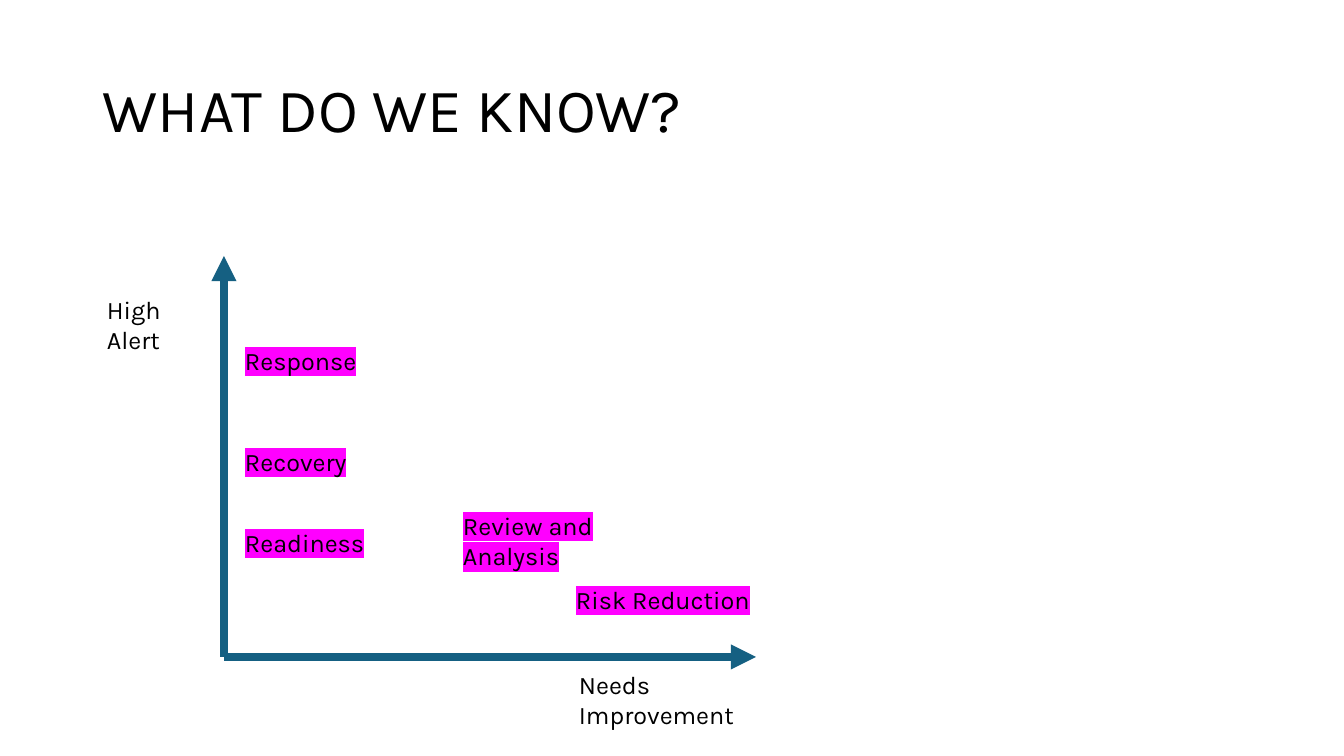
from lxml.etree import SubElement
from pptx import Presentation
from pptx.dml.color import RGBColor
from pptx.enum.shapes import MSO_CONNECTOR
from pptx.enum.text import MSO_ANCHOR
from pptx.oxml import parse_xml
from pptx.oxml.ns import nsdecls, qn
from pptx.util import Emu, Pt

EMU_PER_PIXEL = 914400 / 100.8
FONT = "Karla"
BLACK = "000000"
AXIS_BLUE = "156082"
MAGENTA = "FF00FF"
ORIGIN = (224, 657)
LINE_HEIGHT = 40
TWO_LINE_HEIGHT = 72

PHASES = [
    ("Readiness", 235, 522, 168, LINE_HEIGHT),
    ("Recovery", 235, 441, 168, LINE_HEIGHT),
    ("Review and Analysis", 453, 505, 168, TWO_LINE_HEIGHT),
    ("Response", 235, 340, 168, LINE_HEIGHT),
    ("Risk Reduction", 566, 579, 228, LINE_HEIGHT),
]
AXIS_LABELS = [
    ("High Alert", 97, 289, 125, TWO_LINE_HEIGHT),
    ("Needs Improvement", 569, 664, 228, TWO_LINE_HEIGHT),
]


def px(length):
    return Emu(round(length * EMU_PER_PIXEL))


def color(hex_value):
    return RGBColor.from_string(hex_value)


def add_text(slide, text, left, top, width, height, size=18):
    """Add a wrapping text box and return its only run."""
    shape = slide.shapes.add_textbox(px(left), px(top), px(width), px(height))
    text_frame = shape.text_frame
    text_frame.word_wrap = True
    text_frame.text = text
    run = text_frame.paragraphs[0].runs[0]
    run.font.name = FONT
    run.font.size = Pt(size)
    run.font.color.rgb = color(BLACK)
    return run


def add_title(slide, text):
    add_text(slide, text, 93, 40, 1159, 146, size=44)
    text_frame = slide.shapes[-1].text_frame
    text_frame.vertical_anchor = MSO_ANCHOR.MIDDLE
    text_frame.paragraphs[0].line_spacing = 0.9


def highlight(run, hex_value):
    marker = parse_xml(
        f'<a:highlight {nsdecls("a")}><a:srgbClr val="{hex_value}"/></a:highlight>'
    )
    run.font.fill  # The highlight follows the fill in the run properties.
    run.font._element.find(qn("a:solidFill")).addnext(marker)


def add_axis(slide, end):
    """Draw an arrow from the chart origin to the end point."""
    points = [px(value) for value in (*ORIGIN, *end)]
    axis = slide.shapes.add_connector(MSO_CONNECTOR.STRAIGHT, *points)
    axis.line.color.rgb = color(AXIS_BLUE)
    axis.line.width = Pt(6)
    SubElement(axis.line._ln, qn("a:tailEnd"), type="triangle")
    SubElement(axis._element.spPr, qn("a:effectLst"))


def main():
    presentation = Presentation()
    presentation.slide_width = px(1344)
    presentation.slide_height = px(756)
    slide = presentation.slides.add_slide(presentation.slide_layouts[6])

    add_title(slide, "WHAT DO WE KNOW?")
    for end in [(224, 256), (756, 657)]:
        add_axis(slide, end)
    for phase in PHASES:
        highlight(add_text(slide, *phase), MAGENTA)
    for label in AXIS_LABELS:
        add_text(slide, *label)

    presentation.save("out.pptx")


if __name__ == "__main__":
    main()
